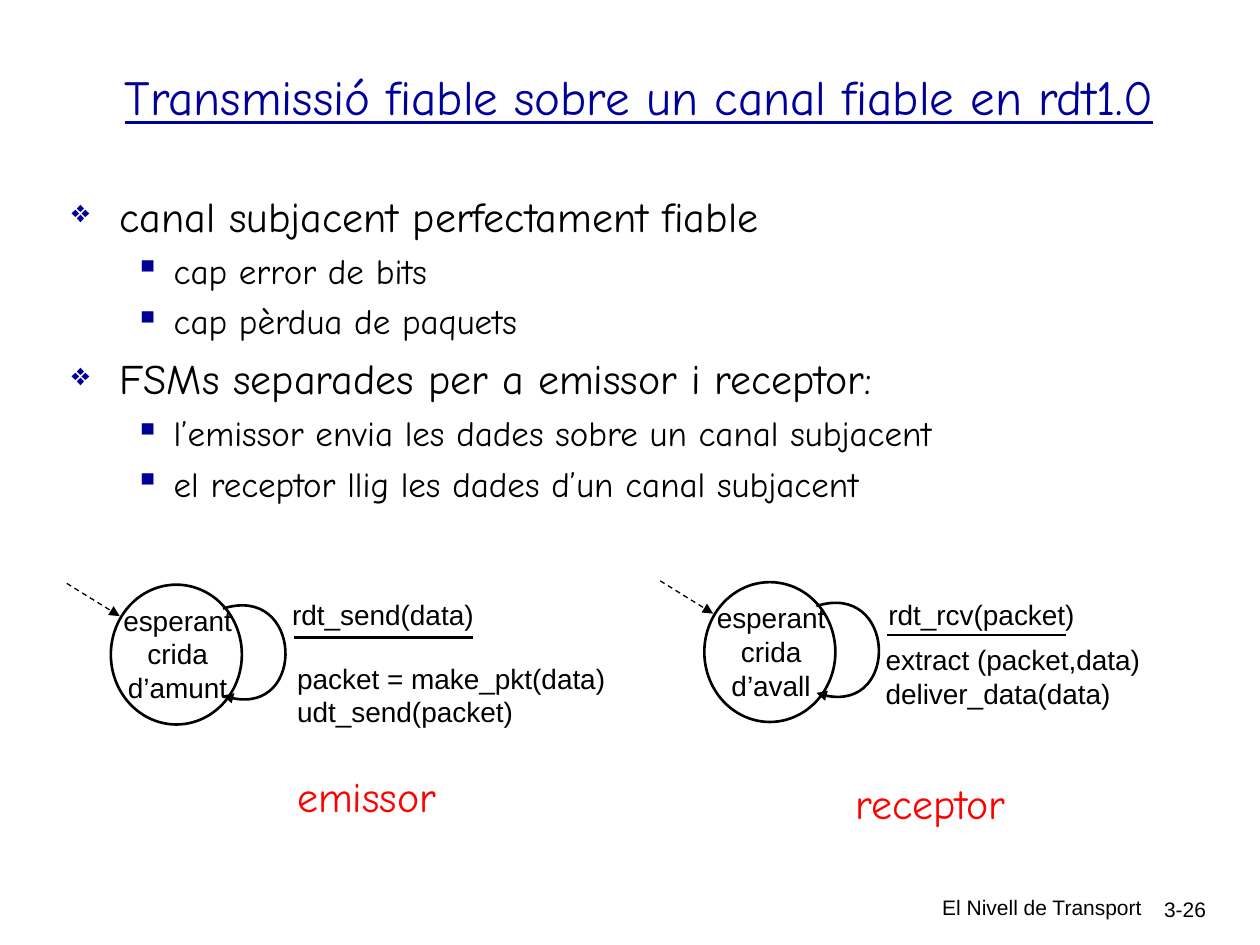
import pptx
import pptx.util
import pptx.dml.color
import pptx.enum.dml
import pptx.enum.shapes
import pptx.enum.text
import pptx.oxml
import pptx.oxml.ns

Inches = pptx.util.Inches
Pt = pptx.util.Pt
qn = pptx.oxml.ns.qn
ALIGN = pptx.enum.text.PP_ALIGN
ANCHOR = pptx.enum.text.MSO_ANCHOR
DASH = pptx.enum.dml.MSO_LINE

COLORS = {"ink": "000000", "paper": "FFFFFF", "navy": "000099", "red": "FF0000"}
NS = 'xmlns:a="http://schemas.openxmlformats.org/drawingml/2006/main"'

# Outline levels: mark, mark size in percent, left indent, hang, text size, space before
LEVELS = [("❖", 75, 0.38, 0.38, 24, 6), ("▪", 100, 0.81, 0.31, 20, 5)]

POINTS = [
    (0, "canal subjacent perfectament fiable"),
    (1, "cap error de bits"),
    (1, "cap pèrdua de paquets"),
    (0, "FSMs separades per a emissor i receptor:"),
    (1, "l’emissor envia les dades sobre un canal subjacent"),
    (1, "el receptor llig les dades d’un canal subjacent"),
]


def color(name):
    return pptx.dml.color.RGBColor.from_string(COLORS[name])


def node(tag, attrs=""):
    return pptx.oxml.parse_xml(f"<a:{tag} {NS} {attrs}/>")


class Deck:
    """Holds the text style and the current slide."""

    plain = {"name": "Arial", "size": 16, "color": "ink"}
    comic = {"name": "Comic Neue", "size": 24, "color": "ink"}

    def __init__(self, wide, high):
        self.show = pptx.Presentation()
        self.show.slide_width = Inches(wide)
        self.show.slide_height = Inches(high)
        self.slide = self.show.slides.add_slide(self.show.slide_layouts[6])

    def label(self, para, words, style):
        run = para.add_run()
        run.text = words
        for key, value in style.items():
            if key == "color":
                run.font.color.rgb = color(value)
            else:
                setattr(run.font, key, Pt(value) if key == "size" else value)

    def frame(self, box, wrap=True, anchor=ANCHOR.TOP):
        frame = self.slide.shapes.add_textbox(*map(Inches, box)).text_frame
        frame.word_wrap = wrap
        frame.vertical_anchor = anchor
        return frame

    def text(self, box, lines, align=ALIGN.LEFT, style=plain, **extra):
        frame = self.frame(box, **extra)
        for i, words in enumerate(lines):
            para = frame.add_paragraph() if i else frame.paragraphs[0]
            para.alignment = align
            self.label(para, words, style)

    def outline(self, box, points):
        frame = self.frame(box)
        for i, (level, words) in enumerate(points):
            mark, scale, left, hang, size, gap = LEVELS[level]
            para = frame.add_paragraph() if i else frame.paragraphs[0]
            para.level = level
            props = para._p.get_or_add_pPr()
            props.set("marL", str(Inches(left)))
            props.set("indent", str(-Inches(hang)))
            tint = node("buClr")
            tint.append(node("srgbClr", f'val="{COLORS["navy"]}"'))
            props.append(tint)
            props.append(node("buSzPct", f'val="{scale * 1000}"'))
            props.append(node("buChar", f'char="{mark}"'))
            if i:
                para.space_before = Pt(gap)
            self.label(para, words, self.comic | {"size": size})

    def stroke(self, shape, width=1.5, dash=None, head=False):
        line = shape.line
        line.color.rgb = color("ink")
        line.width = Pt(width)
        if dash:
            line.dash_style = dash
        if head:
            line._get_or_add_ln().append(node("tailEnd", 'type="triangle"'))

    def line(self, x1, y1, x2, y2, **style):
        kind = pptx.enum.shapes.MSO_CONNECTOR.STRAIGHT
        link = self.slide.shapes.add_connector(kind, *map(Inches, (x1, y1, x2, y2)))
        self.stroke(link, **style)
        link._element.spPr.append(node("effectLst"))

    def circle(self, box):
        kind = pptx.enum.shapes.MSO_SHAPE.OVAL
        disc = self.slide.shapes.add_shape(kind, *map(Inches, box))
        disc.shadow.inherit = False
        disc.fill.solid()
        disc.fill.fore_color.rgb = color("paper")
        self.stroke(disc)

    def curve(self, start, *pulls):
        """Draw one cubic arc: the start, two control points and the end."""
        pen = self.slide.shapes.build_freeform(*map(Inches, start))
        pen.add_line_segments([tuple(map(Inches, p)) for p in pulls], close=False)
        arc = pen.convert_to_shape()
        arc.shadow.inherit = False
        arc.fill.background()
        self.stroke(arc, head=True)
        route = next(arc._element.iter(qn("a:path")))
        bend = node("cubicBezTo")
        for step in route.findall(qn("a:lnTo")):
            bend.append(step[0])
            route.remove(step)
        route.append(bend)

    def state(self, x, y, words):
        """Draw a state with its entry arrow and its loop, from the arrow's start."""
        self.circle((x + 0.35, y + 0.01, 1.04, 1.11))
        self.text((x + 0.28, y + 0.11, 1.2, 1), [words], ALIGN.CENTER)
        loop = [(1.24, 0.2), (1.87, 0), (1.91, 1.12), (1.24, 0.89)]
        self.curve(*[(x + dx, y + dy) for dx, dy in loop])
        self.line(x + 1.8, y + 0.43, x + 3.22, y + 0.43)
        self.line(x, y, x + 0.42, y + 0.26, width=0.75, dash=DASH.DASH, head=True)


def main():
    deck = Deck(10, 7.5)
    small = deck.plain | {"size": 12}
    deck.text((5.99, 7.05, 3.17, 0.31), ["El Nivell de Transport"], ALIGN.RIGHT, small)
    deck.text((8.93, 7.07, 0.74, 0.3), ["3-26"], ALIGN.RIGHT, small)

    title = deck.comic | {"size": 28, "color": "navy", "underline": True}
    deck.text((0.34, 0.25, 9.46, 1.03),
              ["Transmissió fiable sobre un canal fiable en rdt1.0"],
              ALIGN.CENTER, title, anchor=ANCHOR.MIDDLE)
    deck.outline((0.47, 1.46, 8.64, 3.3), POINTS)

    deck.state(0.53, 4.63, "esperant crida d’amunt")
    deck.text((2.22, 4.69, 2.47, 0.47), ["rdt_send(data)"])
    deck.text((2.26, 5.2, 2.93, 0.65), ["packet = make_pkt(data)", "udt_send(packet)"])

    deck.state(5.24, 4.61, "esperant crida d’avall")
    deck.text((6.95, 4.69, 1.68, 0.37), ["rdt_rcv(packet)"], ALIGN.CENTER, wrap=False)
    deck.text((6.93, 5.05, 2.72, 0.47), ["extract (packet,data)", "deliver_data(data)"])

    role = deck.comic | {"color": "red"}
    deck.text((2.26, 6.07, 1.3, 0.5), ["emissor"], ALIGN.CENTER, role, wrap=False)
    deck.text((6.68, 6.12, 1.41, 0.5), ["receptor"], ALIGN.CENTER, role, wrap=False)
    deck.show.save("out.pptx")


if __name__ == "__main__":
    main()
